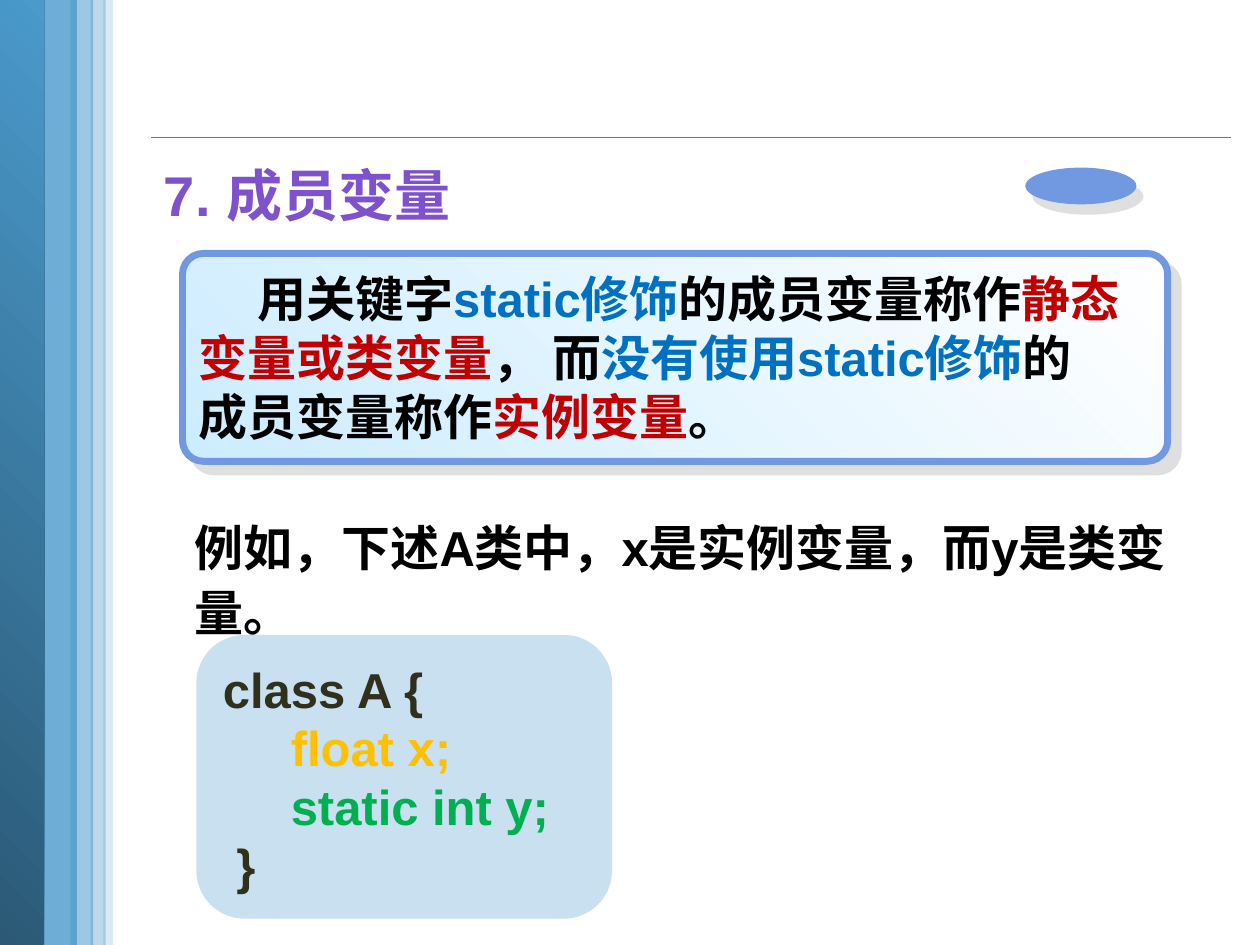
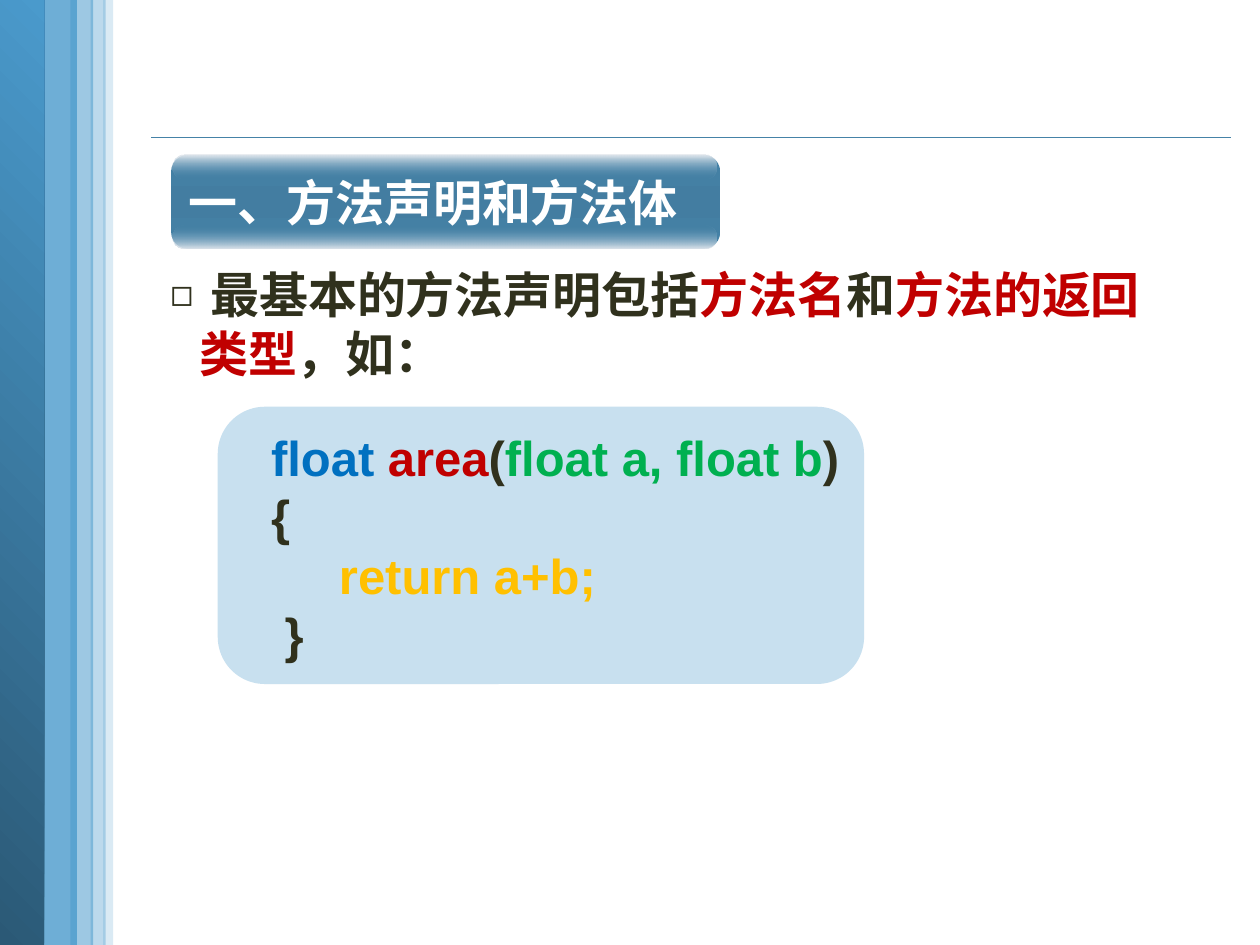
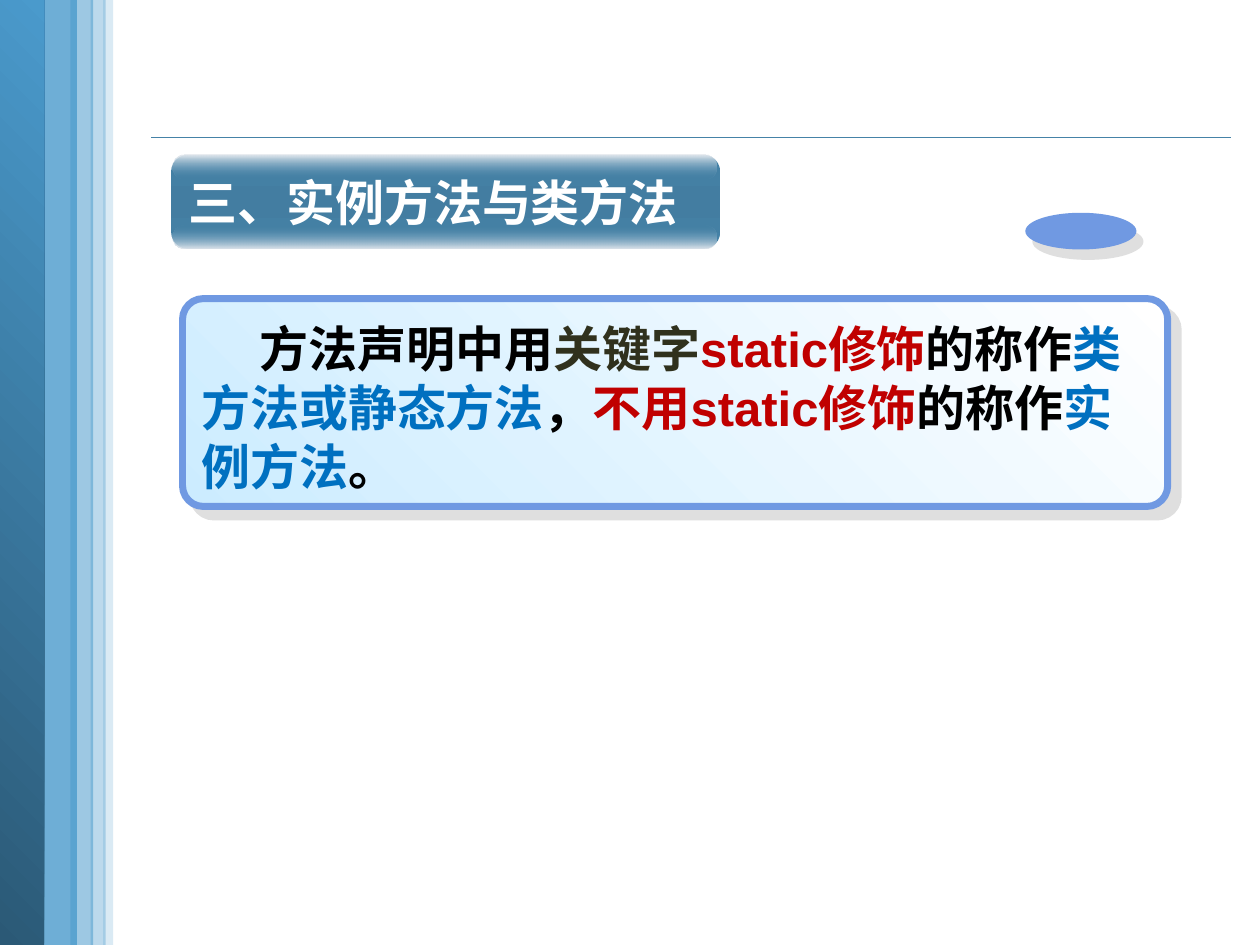
from typing import NamedTuple

from lxml import etree
from pptx import Presentation
from pptx import util as u
from pptx.dml.color import RGBColor
from pptx.enum import shapes, text
from pptx.oxml.ns import qn

FONT = "Arial"
BLACK = RGBColor(0x00, 0x00, 0x00)
WHITE = RGBColor(0xFF, 0xFF, 0xFF)
INK = RGBColor(0x30, 0x31, 0x1D)
RED = RGBColor(0xC0, 0x00, 0x00)
BLUE = RGBColor(0x00, 0x70, 0xC0)
GREEN = RGBColor(0x00, 0xB0, 0x50)
AMBER = RGBColor(0xFF, 0xC0, 0x00)
PURPLE = RGBColor(0x7E, 0x52, 0xCC)
SKY = RGBColor(0x4A, 0x9A, 0xCC)
DEEP_SKY = RGBColor(0x2B, 0x59, 0x76)
STEEL = RGBColor(0x45, 0x82, 0xA7)
STEEL_MID = RGBColor(0x43, 0x7D, 0xA1)
GLOSS_TOP = RGBColor(0xEA, 0xED, 0xF1)
GLOSS_BOTTOM = RGBColor(0xE2, 0xE7, 0xED)
PERIWINKLE = RGBColor(0x70, 0x99, 0xE2)
ICE = RGBColor(0xCC, 0xEC, 0xFF)
SILVER = RGBColor(0xC0, 0xC0, 0xC0)

PAGE_WIDTH, PAGE_HEIGHT = 25.4, 19.05
TITLE_AND_BODY, TITLE_ONLY = 1, 5
RECT = shapes.MSO_SHAPE.RECTANGLE
ROUND = shapes.MSO_SHAPE.ROUNDED_RECTANGLE
OVAL = shapes.MSO_SHAPE.OVAL


class Box(NamedTuple):
    """A rectangle in centimetres."""
    left: float
    top: float
    width: float
    height: float

    def inner(self, dx, dy, width, height):
        return Box(self.left + dx, self.top + dy, width, height)

    def lengths(self):
        return [u.Cm(round(value, 2)) for value in self]


def add_color(parent, color, alpha=100):
    node = etree.SubElement(parent, qn("a:srgbClr"), val=str(color))
    if alpha < 100:
        etree.SubElement(node, qn("a:alpha"), val=str(alpha * 1000))


def add_plain(page, kind, box, radius=None):
    """Add a shape without outline or shadow."""
    shape = page.shapes.add_shape(kind, *box.lengths())
    shape.shadow.inherit = False
    shape.line.fill.background()
    if radius is not None:
        shape.adjustments[0] = radius
    return shape


def paint(shape, color, alpha=100):
    shape.fill.solid()
    shape.fill.fore_color.rgb = color
    if alpha < 100:
        solid = shape.element.spPr.find(qn("a:solidFill"))
        solid.clear()
        add_color(solid, color, alpha)


def paint_gradient(shape, angle, *stops):
    """Fill with (position, color, alpha) stops; the angle runs counter-clockwise."""
    shape.fill.gradient()
    shape.fill.gradient_angle = angle
    stop_list = shape.element.spPr.find(qn("a:gradFill")).find(qn("a:gsLst"))
    stop_list.clear()
    for position, color, alpha in stops:
        stop = etree.SubElement(stop_list, qn("a:gs"), pos=str(position * 1000))
        add_color(stop, color, alpha)


def cast_shadow(shape, distance, degrees):
    effects = shape.element.spPr.find(qn("a:effectLst"))
    shadow = etree.SubElement(
        effects, qn("a:outerShdw"), blurRad="0", dist=str(u.Pt(distance)),
        dir=str(degrees * 60000), algn="ctr", rotWithShape="0")
    add_color(shadow, SILVER, 50)


def write(para, spans, size=28):
    """Write (text, color) spans as bold runs."""
    para.alignment = text.PP_ALIGN.LEFT
    para.space_before = u.Pt(0)
    for words, color in spans:
        span = para.add_run()
        span.text = words
        span.font.name = FONT
        span.font.size = u.Pt(size)
        span.font.bold = True
        span.font.color.rgb = color


def set_indent(para, margin, first_line):
    properties = para._p.get_or_add_pPr()
    properties.set("marL", str(u.Cm(margin)))
    properties.set("indent", str(u.Cm(first_line)))
    return properties


def place(holder, box, anchor):
    """Move a placeholder and switch off its text fitting."""
    holder.left, holder.top, holder.width, holder.height = box.lengths()
    frame = holder.text_frame
    frame.auto_size = text.MSO_AUTO_SIZE.NONE
    frame.word_wrap = True
    frame.vertical_anchor = anchor
    return frame


def add_text(page, box):
    frame = page.shapes.add_textbox(*box.lengths()).text_frame
    frame.word_wrap = True
    return frame.paragraphs[0]


def decorate_master(deck, page):
    """Draw the side bands and the rule, then move them to the master."""
    parts = []
    rule = page.shapes.add_connector(
        shapes.MSO_CONNECTOR.STRAIGHT,
        u.Cm(3.05), u.Cm(2.77), u.Cm(24.82), u.Cm(2.77))
    rule.line.color.rgb = STEEL
    rule.line.width = u.Pt(1)
    etree.SubElement(rule.element.spPr, qn("a:effectLst"))
    parts.append(rule)

    bands = [(0.76, 0.79, 80), (0, 0.89, None), (2.08, 0.2, 20),
             (1.42, 0.46, 54), (1.83, 0.3, 37)]
    for left, width, alpha in bands:
        band = add_plain(page, RECT, Box(left, 0, width, PAGE_HEIGHT))
        if alpha is None:
            paint_gradient(band, 45, (0, DEEP_SKY, 100), (100, SKY, 100))
        else:
            paint(band, SKY, alpha)
        parts.append(band)

    for number, part in enumerate(parts, start=100):
        part.element.xpath(".//p:cNvPr")[0].set("id", str(number))
        deck.slide_master.shapes.element.append(part.element)


def add_banner_title(page, words):
    """Put the title on a glossy banner."""
    box = Box(3.45, 3.12, 11.07, 1.9)
    banner = add_plain(page, ROUND, box, 0.18)
    paint_gradient(banner, 270, (0, STEEL, 100), (50, STEEL_MID, 100),
                   (100, STEEL, 100))
    gloss_height = 0.48
    glosses = [
        (box.height - gloss_height, (0, STEEL, 0), (100, GLOSS_BOTTOM, 100)),
        (0, (0, GLOSS_TOP, 100), (100, STEEL, 0)),
    ]
    for dy, *stops in glosses:
        gloss = add_plain(
            page, ROUND, box.inner(0.03, dy, box.width - 0.1, gloss_height), 0.5)
        paint_gradient(gloss, 270, *stops)

    title = page.shapes.title
    frame = place(title, box, text.MSO_ANCHOR.MIDDLE)
    frame.margin_left = u.Cm(0.35)
    write(frame.paragraphs[0], [(words, WHITE)])
    page.shapes.element.append(title.element)  # in front of the banner


def add_definition(page, top, words_box, spans):
    """Add a framed definition with its oval; words_box is relative to the frame."""
    box = Box(3.68, top, 19.86, 4.19)
    card = add_plain(page, ROUND, box, 0.1)
    paint_gradient(card, 45, (0, ICE, 100), (100, WHITE, 100))
    card.line.color.rgb = PERIWINKLE
    card.line.width = u.Pt(4)
    cast_shadow(card, 8.5, 45)

    oval = add_plain(page, OVAL, box.inner(16.99, -1.73, 2.24, 0.74))
    paint(oval, PERIWINKLE)
    cast_shadow(oval, 7.2, 56)

    para = add_text(page, box.inner(*words_box))
    set_indent(para, 0, 1.18)
    write(para, spans)


def add_code(page, box, lines):
    panel = add_plain(page, ROUND, box, 0.17)
    paint(panel, SKY, 30)
    frame = panel.text_frame
    frame.word_wrap = False
    frame.vertical_anchor = text.MSO_ANCHOR.MIDDLE
    for number, spans in enumerate(lines):
        write(frame.add_paragraph() if number else frame.paragraphs[0], spans)


def add_bullet(page, box, spans):
    frame = place(page.placeholders[1], box, text.MSO_ANCHOR.TOP)
    para = frame.paragraphs[0]
    properties = set_indent(para, 0.58, -0.58)
    etree.SubElement(properties, qn("a:buSzPct"), val="76000")
    etree.SubElement(properties, qn("a:buChar"), char="◻")
    write(para, spans)


def build_member_variables(page):
    frame = place(page.shapes.title, Box(3.05, 3.1, 16.76, 1.57),
                  text.MSO_ANCHOR.TOP)
    write(frame.paragraphs[0], [("7. 成员变量", PURPLE)], 32)

    add_definition(page, 5.11, (0.08, 0.18, 19.08, 3.84), [
        ("用关键字", BLACK), ("static修饰", BLUE), ("的成员变量称作", BLACK),
        ("静态变量或类变量", RED), ("， 而", BLACK), ("没有使用static修饰", BLUE),
        ("的成员变量称作", BLACK), ("实例变量", RED), ("。", BLACK)])

    example = add_text(page, Box(3.68, 10.19, 20.55, 2.77))
    example.line_spacing = 1.1
    write(example, [("例如，下述A类中，x是实例变量，而y是类变量。", BLACK)])

    add_code(page, Box(3.96, 12.8, 8.38, 5.72), [
        [("class A {", INK)],
        [("     float x;", AMBER)],
        [("     static int y;", GREEN)],
        [(" }", INK)]])


def build_method_declaration(page):
    add_banner_title(page, "一、方法声明和方法体")
    add_bullet(page, Box(3.18, 5.21, 20.32, 2.64), [
        (" 最基本的方法声明包括", INK), ("方法名", RED), ("和", INK),
        ("方法的返回类型", RED), ("，如：", INK)])
    add_code(page, Box(4.39, 8.2, 13.03, 5.59), [
        [("  float ", BLUE), ("area", RED), ("(", INK),
         ("float a, float b", GREEN), (")", INK)],
        [("  {", INK)],
        [("       return a+b;", AMBER)],
        [("   }", INK)]])


def build_instance_and_class_methods(page):
    add_definition(page, 6.02, (0.13, 0.28, 19.74, 3.84), [
        ("方法声明中用", BLACK), ("关键字", INK), ("static修饰", RED),
        ("的称作", BLACK), ("类方法或静态方法", BLUE), ("，", BLACK),
        ("不用static修饰", RED), ("的称作", BLACK), ("实例方法", BLUE),
        ("。", BLACK)])
    add_banner_title(page, "三、实例方法与类方法")


def main():
    deck = Presentation()
    deck.slide_width, deck.slide_height = u.Cm(PAGE_WIDTH), u.Cm(PAGE_HEIGHT)
    plan = [(TITLE_ONLY, build_member_variables),
            (TITLE_AND_BODY, build_method_declaration),
            (TITLE_ONLY, build_instance_and_class_methods)]
    for number, (layout, build) in enumerate(plan):
        page = deck.slides.add_slide(deck.slide_layouts[layout])
        if number == 0:
            decorate_master(deck, page)
        build(page)
    deck.save("out.pptx")


if __name__ == "__main__":
    main()
